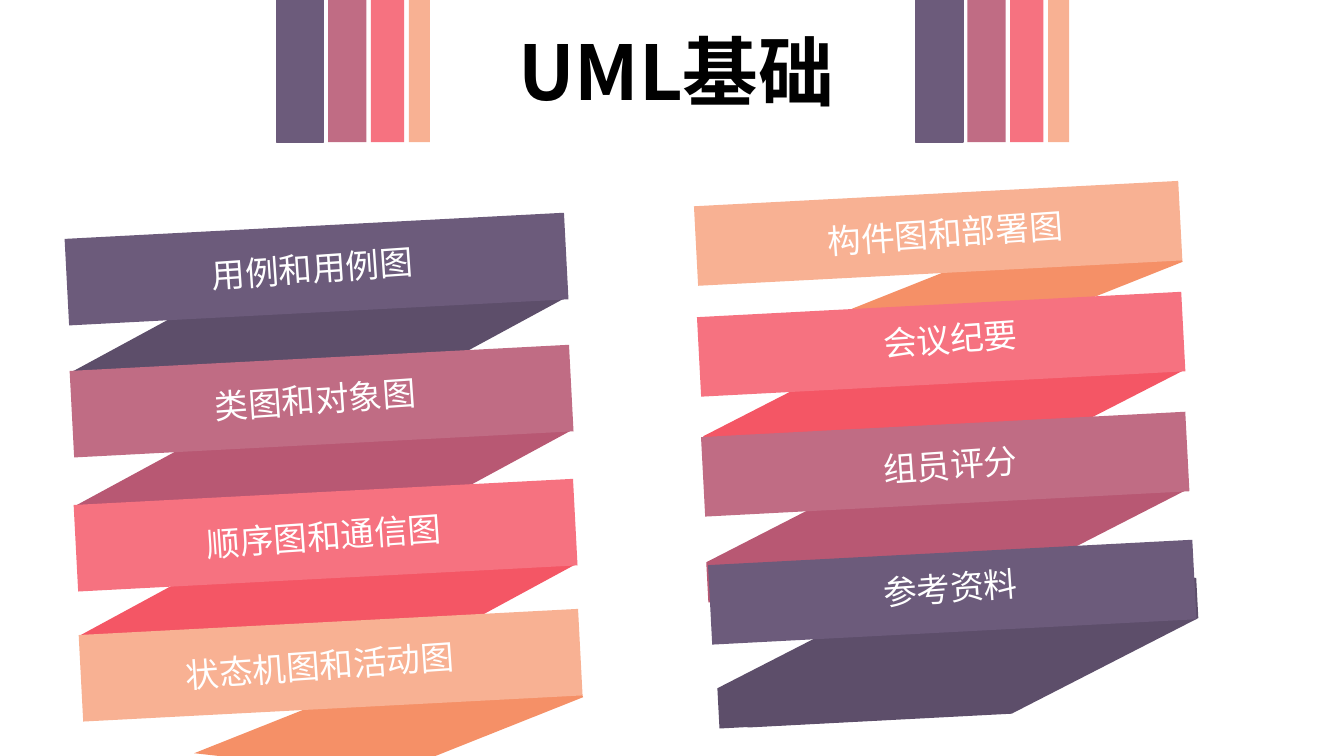
import pptx
import pptx.util
import pptx.dml.color
import pptx.enum.shapes
import pptx.enum.text

RGBColor = pptx.dml.color.RGBColor
PURPLE, PURPLE_DARK = RGBColor(0x6C, 0x5B, 0x7B), RGBColor(0x5D, 0x4E, 0x6A)
PLUM, PLUM_DARK = RGBColor(0xC0, 0x6C, 0x84), RGBColor(0xB8, 0x58, 0x73)
CORAL, CORAL_DARK = RGBColor(0xF6, 0x72, 0x80), RGBColor(0xF4, 0x56, 0x65)
PEACH, PEACH_DARK = RGBColor(0xF8, 0xB1, 0x93), RGBColor(0xF5, 0x90, 0x67)
BLACK, WHITE = RGBColor(0, 0, 0), RGBColor(0xFF, 0xFF, 0xFF)

FONT = "Noto Sans CJK SC"
CELL = pptx.util.Inches(1)  # the slide is a grid of one-inch cells
COLUMNS, ROWS = 13.33, 7.5
RECTANGLE = pptx.enum.shapes.MSO_SHAPE.RECTANGLE
LEFT, CENTER = pptx.enum.text.PP_ALIGN.LEFT, pptx.enum.text.PP_ALIGN.CENTER
TILT, TEXT_TILT, TAIL_TILT = 357, 356, 338.3

# Outlines as shares of the shape's own width and height
FOLD_LEFT = [(1, 0), (0.38, 1), (0, 1), (0, 0.68), (0.42, 0)]
FOLD_RIGHT = [(1 - x, 1 - y) for x, y in FOLD_LEFT]
TAIL = [(1, 0), (1, 1), (0.45, 1), (0, 0)]

presentation = pptx.Presentation()
presentation.slide_width = int(COLUMNS * CELL)
presentation.slide_height = int(ROWS * CELL)
slide = presentation.slides.add_slide(presentation.slide_layouts[6])


def add_panel(shapes, box, color, rotation=0, outline=None):
    """Add a plain filled rectangle, or a polygon when an outline is given."""
    left, top, width, height = [int(length * CELL) for length in box]
    if outline:
        points = [(int(x * width), int(y * height)) for x, y in outline]
        builder = shapes.build_freeform(*points[0])
        builder.add_line_segments(points[1:], close=True)
        shape = builder.convert_to_shape(left, top)
    else:
        shape = shapes.add_shape(RECTANGLE, left, top, width, height)
    shape.rotation = rotation
    shape.shadow.inherit = False
    shape.fill.solid()
    shape.fill.fore_color.rgb = color
    shape.line.fill.background()
    return shape


def add_label(shapes, text, box, size, color, alignment, rotation=0, wrap=True, bold=False):
    """Add a one-line text box."""
    label = shapes.add_textbox(*[int(length * CELL) for length in box])
    label.rotation = rotation
    label.text_frame.word_wrap = wrap
    label.text_frame.auto_size = pptx.enum.text.MSO_AUTO_SIZE.SHAPE_TO_FIT_TEXT
    paragraph = label.text_frame.paragraphs[0]
    paragraph.alignment = alignment
    run = paragraph.add_run()
    run.text = text
    font_format = {"name": FONT, "size": pptx.util.Pt(size), "bold": bold}
    for name, value in font_format.items():
        setattr(run.font, name, value)
    run.font.color.rgb = color


# Striped banners on both sides of the title
STRIPES = [(0.47, PURPLE), (0.38, PLUM), (0.33, CORAL), (0.21, PEACH)]
STRIPE_GAP, STRIPE_HEIGHT = 0.045, 1.41
for left in (2.74, 9.08):
    banner = slide.shapes.add_group_shape()
    for width, color in STRIPES:
        stripe = add_panel(banner.shapes, (left, 0, width, STRIPE_HEIGHT), color)
        if color == PURPLE:
            stripe.line.color.rgb = PURPLE
            stripe.line.width = pptx.util.Pt(1)
        left += width + STRIPE_GAP

# Title
add_label(slide.shapes, "UML基础", (4.42, 0.2, 4.57, 1.01), 54, BLACK, CENTER, bold=True)

# Ribbons, each listed from back to front
# folds: colour, then left and top of the left and the right half
# bars: colour, left, top; labels: text, left, top, width, wrap
ribbons = [
    {
        "tail": (1.96, 6.74, 3.79, 0.91),
        "fold_size": (4.66, 1.37),
        "folds": [
            (PURPLE_DARK, (0.69, 2.64), (0.98, 2.63)),
            (PLUM_DARK, (0.74, 3.96), (1.03, 3.95)),
            (CORAL_DARK, (0.78, 5.25), (1.07, 5.28)),
        ],
        "bar_size": (4.96, 0.86),
        "bars": [(PURPLE, 0.66, 2.24), (PLUM, 0.71, 3.55),
                 (CORAL, 0.75, 4.88), (PEACH, 0.8, 6.17)],
        "alignment": LEFT,
        "labels": [
            ("用例和用例图", 2, 2.41, 2.2, False),
            ("类图和对象图", 2.03, 3.71, 2.2, False),
            ("顺序图和通信图", 1.95, 5.06, 2.67, True),
            ("状态机图和活动图", 1.74, 6.35, 2.87, False),
        ],
    },
    {
        "tail": (8.48, 2.44, 3.22, 0.78),
        "fold_size": (4.52, 1.25),
        "folds": [
            (PURPLE_DARK, (7.1, 5.86), (7.38, 5.85)),
            (PLUM_DARK, (6.99, 4.61), (7.28, 4.57)),
            (CORAL_DARK, (6.96, 3.36), (7.24, 3.39)),
        ],
        "bar_size": (4.81, 0.79),
        "bars": [(PURPLE, 7.04, 5.48), (PLUM, 6.97, 4.21),
                 (CORAL, 6.93, 3.02), (PEACH, 6.9, 1.92)],
        "alignment": CENTER,
        "labels": [
            ("参考资料", 8.66, 5.58, 1.53, False),
            ("组员评分", 8.66, 4.36, 1.53, False),
            ("会议纪要", 7.87, 3.11, 3.11, True),
            ("构件图和部署图", 8.04, 2.06, 2.67, True),
        ],
    },
]
for ribbon in ribbons:
    shapes = slide.shapes.add_group_shape().shapes
    add_panel(shapes, ribbon["tail"], PEACH_DARK, TAIL_TILT, TAIL)
    for color, left_half, right_half in ribbon["folds"]:
        for corner, outline in ((left_half, FOLD_LEFT), (right_half, FOLD_RIGHT)):
            add_panel(shapes, corner + ribbon["fold_size"], color, TILT, outline)
    for color, left, top in ribbon["bars"]:
        add_panel(shapes, (left, top) + ribbon["bar_size"], color, TILT)
    for text, left, top, width, wrap in ribbon["labels"]:
        add_label(shapes, text, (left, top, width, 0.5), 24, WHITE,
                  ribbon["alignment"], TEXT_TILT, wrap)

presentation.save("out.pptx")
